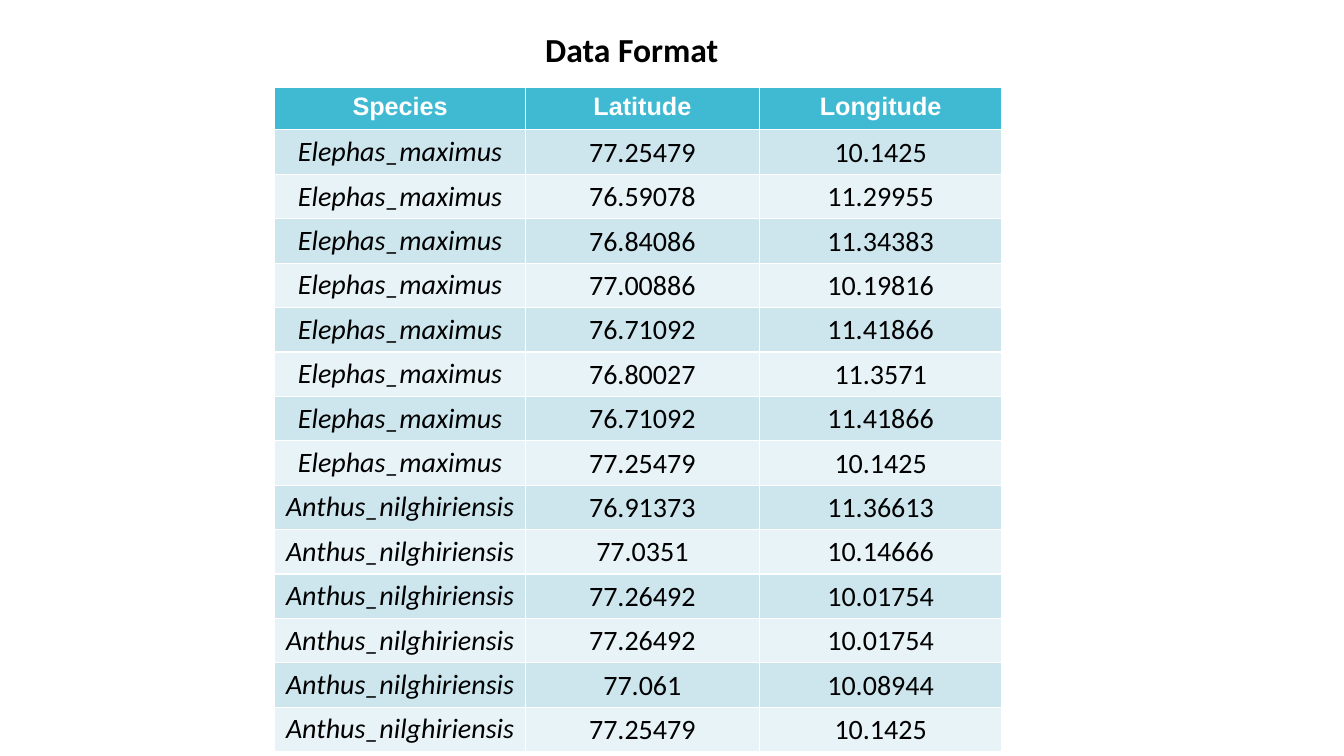
"""Build a slide showing the species occurrence data format as a table."""
from pptx import Presentation
from pptx.dml.color import RGBColor
from pptx.enum import text
from pptx.util import Pt

COLOURS = {
    "header": "40BAD2",
    "odd_row": "CDE6EE",
    "even_row": "E8F3F7",
    "white": "FFFFFF",
    "black": "000000",
}
HEADERS = ("Species", "Latitude", "Longitude")
OCCURRENCES = {
    "Elephas_maximus": [
        ("77.25479", "10.1425"),
        ("76.59078", "11.29955"),
        ("76.84086", "11.34383"),
        ("77.00886", "10.19816"),
        ("76.71092", "11.41866"),
        ("76.80027", "11.3571"),
        ("76.71092", "11.41866"),
        ("77.25479", "10.1425"),
    ],
    "Anthus_nilghiriensis": [
        ("76.91373", "11.36613"),
        ("77.0351", "10.14666"),
        ("77.26492", "10.01754"),
        ("77.26492", "10.01754"),
        ("77.061", "10.08944"),
        ("77.25479", "10.1425"),
    ],
}
COLUMN_WIDTHS = (179.2, 167, 173.4)
ROW_HEIGHT = 30.2


def set_font(p, name, size, colour, bold=False, italic=False):
    p.font.name = name
    p.font.size = Pt(size)
    p.font.bold = bold
    p.font.italic = italic
    p.font.color.rgb = RGBColor.from_string(COLOURS[colour])


def add_title(s, title):
    tf = s.shapes.add_textbox(Pt(382.3), Pt(17.3), Pt(147.6), Pt(36)).text_frame
    tf.word_wrap = True
    p = tf.paragraphs[0]
    p.text = title
    set_font(p, "Calibri", 24, "black", bold=True)


def fill_cell(cell, value, fill):
    cell.fill.solid()
    cell.fill.fore_color.rgb = RGBColor.from_string(COLOURS[fill])
    p = cell.text_frame.paragraphs[0]
    p.text = value
    p.alignment = text.PP_ALIGN.CENTER
    return p


def add_header_cell(cell, value):
    set_font(fill_cell(cell, value, "header"), "Arial", 18, "white", bold=True)


def add_body_cell(cell, value, fill, is_species):
    p = fill_cell(cell, value, fill)
    set_font(p, "Calibri", 20, "black", italic=is_species)
    cell.vertical_anchor = text.MSO_ANCHOR.MIDDLE
    if not is_species:
        cell.margin_left = cell.margin_right = cell.margin_top = Pt(0.75)
        cell.margin_bottom = Pt(0)


def add_occurrence_table(s):
    rows = [(species, *point) for species, points in OCCURRENCES.items() for point in points]
    count = len(rows) + 1
    table = s.shapes.add_table(
        count, len(HEADERS), Pt(196.2), Pt(62.6), Pt(sum(COLUMN_WIDTHS)), Pt(count * ROW_HEIGHT)
    ).table
    for column, width in zip(table.columns, COLUMN_WIDTHS):
        column.width = Pt(width)
    for row in table.rows:
        row.height = Pt(ROW_HEIGHT)
    for c, header in enumerate(HEADERS):
        add_header_cell(table.cell(0, c), header)
    for r, values in enumerate(rows, 1):
        fill = "odd_row" if r % 2 else "even_row"
        for c, value in enumerate(values):
            add_body_cell(table.cell(r, c), value, fill, c == 0)


def main():
    prs = Presentation()
    prs.slide_width, prs.slide_height = Pt(960), Pt(540)
    s = prs.slides.add_slide(prs.slide_layouts[6])
    add_occurrence_table(s)
    add_title(s, "Data Format")
    prs.save("out.pptx")


if __name__ == "__main__":
    main()
